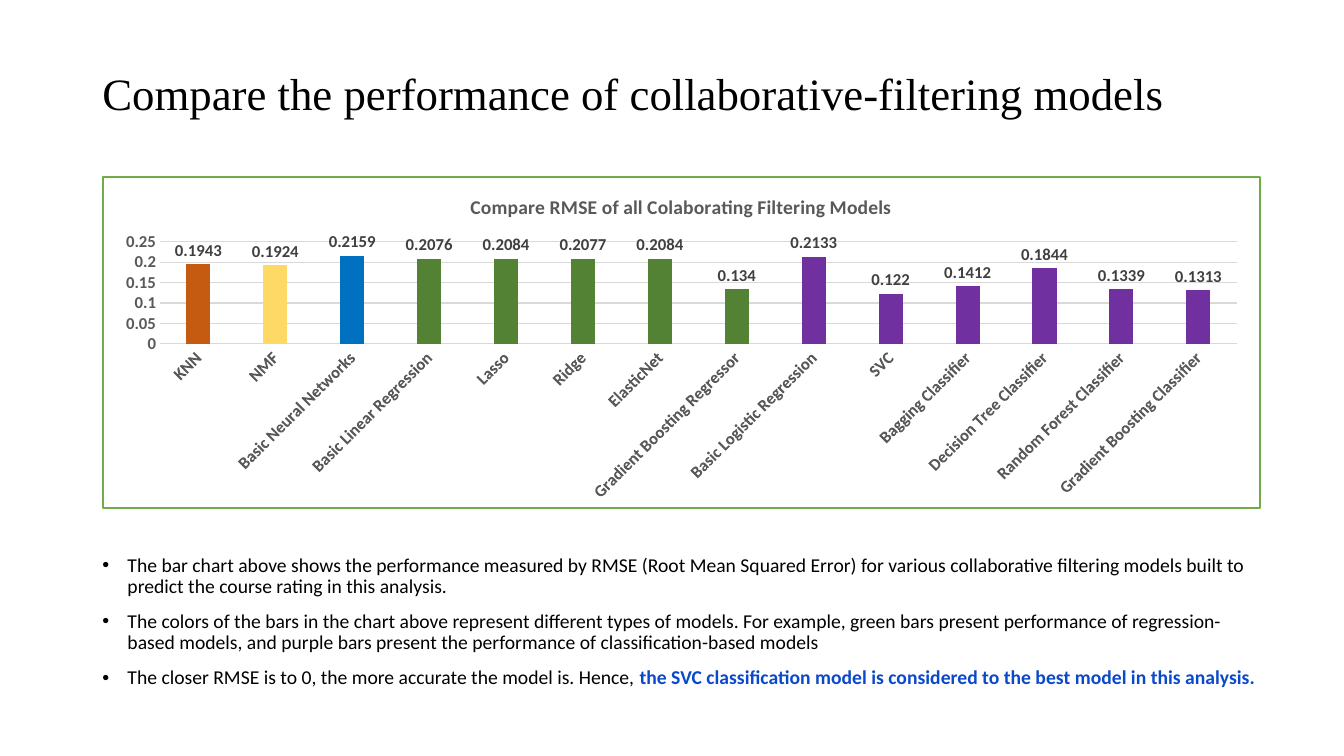
"""Build a slide comparing the RMSE of collaborative-filtering models."""
from dataclasses import dataclass

from lxml.etree import SubElement
from pptx import Presentation
from pptx.chart.data import CategoryChartData
from pptx.dml.color import RGBColor
from pptx.enum.chart import XL_CHART_TYPE as ChartType
from pptx.enum.chart import XL_LABEL_POSITION as LabelPosition
from pptx.enum.chart import XL_TICK_MARK as TickMark
from pptx.oxml import parse_xml
from pptx.oxml.ns import nsdecls, qn
from pptx.util import Emu, Pt

EMU_PER_PX = 9525


@dataclass(frozen=True)
class Theme:
    """Colours, fonts and type sizes of the slide."""
    text: str = "000000"
    emphasis: str = "0B49CB"
    axis: str = "595959"
    label: str = "404040"
    grid: str = "D9D9D9"
    frame: str = "70AD47"
    neighbours: str = "C55A11"
    factorization: str = "FFD966"
    network: str = "0070C0"
    regression: str = "548235"
    classification: str = "7030A0"
    heading_font: str = "Times New Roman"
    body_font: str = "Calibri"
    heading_size: int = 32
    body_size: int = 14
    chart_size: int = 12


THEME = Theme()

MODELS = [
    ("KNN", 0.1943, THEME.neighbours),
    ("NMF", 0.1924, THEME.factorization),
    ("Basic Neural Networks", 0.2159, THEME.network),
    ("Basic Linear Regression", 0.2076, THEME.regression),
    ("Lasso", 0.2084, THEME.regression),
    ("Ridge", 0.2077, THEME.regression),
    ("ElasticNet", 0.2084, THEME.regression),
    ("Gradient Boosting Regressor", 0.134, THEME.regression),
    ("Basic Logistic Regression", 0.2133, THEME.classification),
    ("SVC", 0.122, THEME.classification),
    ("Bagging Classifier", 0.1412, THEME.classification),
    ("Decision Tree Classifier", 0.1844, THEME.classification),
    ("Random Forest Classifier", 0.1339, THEME.classification),
    ("Gradient Boosting Classifier", 0.1313, THEME.classification),
]

FINDINGS = [
    ("The bar chart above shows the performance measured by RMSE (Root Mean Squared Error) "
     "for various collaborative filtering models built to predict the course rating in this "
     "analysis.", ""),
    ("The colors of the bars in the chart above represent different types of models. "
     "For example, green bars present performance of regression-based models, and purple "
     "bars present the performance of classification-based models", ""),
    ("The closer RMSE is to 0, the more accurate the model is. Hence, ",
     "the SVC classification model is considered to the best model in this analysis."),
]


def px(length):
    """Turn whole pixels into EMU."""
    return Emu(length * EMU_PER_PX)


def style_font(font, size=THEME.chart_size, color=THEME.axis, bold=True, name=THEME.body_font):
    """Set the size, colour, weight and face of a font."""
    font.size, font.bold, font.name = Pt(size), bold, name
    font.color.rgb = RGBColor.from_string(color)


def style_line(line, color, width):
    """Give a line a solid colour and a width in points."""
    line.color.rgb = RGBColor.from_string(color)
    line.width = Pt(width)


def add_text(paragraph, text, **style):
    """Append a formatted run to a paragraph."""
    run = paragraph.add_run()
    run.text = text
    style_font(run.font, **style)


def add_text_frame(slide, left, top, width, height):
    """Add a wrapping text box and return its text frame."""
    text_frame = slide.shapes.add_textbox(px(left), px(top), px(width), px(height)).text_frame
    text_frame.word_wrap = True
    return text_frame


def set_bullet(paragraph, indent):
    """Give a paragraph a round bullet with a hanging indent."""
    properties = paragraph._p.get_or_add_pPr()
    properties.set("marL", str(px(indent)))
    properties.set("indent", str(-px(indent)))
    SubElement(properties, qn("a:buFont")).set("typeface", "Arial")
    SubElement(properties, qn("a:buChar")).set("char", "•")


def add_heading(slide, text):
    """Add the slide heading."""
    paragraph = add_text_frame(slide, 88, 64, 1104, 139).paragraphs[0]
    paragraph.line_spacing = 0.9
    add_text(paragraph, text, size=THEME.heading_size, color=THEME.text, bold=False,
             name=THEME.heading_font)


def add_findings(slide):
    """Add the bulleted findings below the chart."""
    text_frame = add_text_frame(slide, 88, 524, 1122, 131)
    for index, (plain, emphasized) in enumerate(FINDINGS):
        paragraph = text_frame.add_paragraph() if index else text_frame.paragraphs[0]
        set_bullet(paragraph, 24)
        paragraph.line_spacing = 0.9
        paragraph.space_before = Pt(10 if index else 0)
        add_text(paragraph, plain, size=THEME.body_size, color=THEME.text, bold=False)
        if emphasized:
            add_text(paragraph, emphasized, size=THEME.body_size, color=THEME.emphasis)


def frame_chart(chart, color, width):
    """Draw a white chart area with a coloured border."""
    frame = parse_xml(
        f'<c:spPr {nsdecls("c", "a")}>'
        '<a:solidFill><a:srgbClr val="FFFFFF"/></a:solidFill>'
        f'<a:ln w="{Pt(width)}"><a:solidFill><a:srgbClr val="{color}"/></a:solidFill></a:ln>'
        '</c:spPr>')
    chart._chartSpace.find(qn("c:chart")).addnext(frame)


def style_axes(chart):
    """Format both axes and the gridlines."""
    category_axis, value_axis = chart.category_axis, chart.value_axis
    for axis in (category_axis, value_axis):
        axis.major_tick_mark = axis.minor_tick_mark = TickMark.NONE
        style_font(axis.tick_labels.font)
    style_line(category_axis.format.line, THEME.grid, 0.75)
    category_axis._element.txPr.find(qn("a:bodyPr")).set("rot", "-2700000")
    value_axis.minimum_scale, value_axis.maximum_scale = 0, 0.25
    value_axis.major_unit = 0.05
    value_axis.format.line.fill.background()
    style_line(value_axis.major_gridlines.format.line, THEME.grid, 0.75)


def style_bars(plot):
    """Colour the bars by model type and label them with values."""
    plot.gap_width = 219
    plot.vary_by_categories = False
    series = plot.series[0]
    series.invert_if_negative = False
    for index, (_, _, color) in enumerate(MODELS):
        fill = series.points[index].format.fill
        fill.solid()
        fill.fore_color.rgb = RGBColor.from_string(color)
    labels = series.data_labels
    labels.show_value = True
    labels.position = LabelPosition.OUTSIDE_END
    style_font(labels.font, color=THEME.label)


def add_rmse_chart(slide):
    """Add the column chart of RMSE by model."""
    names, errors, _ = zip(*MODELS)
    chart_data = CategoryChartData()
    chart_data.categories = names
    chart_data.add_series("Series 1", errors)
    chart = slide.shapes.add_chart(ChartType.COLUMN_CLUSTERED, px(97), px(168), px(1104),
                                   px(317), chart_data).chart
    style_font(chart.font, color=THEME.text)
    chart.has_legend = False
    chart.has_title = True
    add_text(chart.chart_title.text_frame.paragraphs[0],
             "Compare RMSE of all Colaborating Filtering Models", size=THEME.body_size)
    chart.chart_title.include_in_layout = False
    frame_chart(chart, THEME.frame, 1.5)
    style_axes(chart)
    style_bars(chart.plots[0])


def main():
    """Create the presentation and save it."""
    presentation = Presentation()
    presentation.slide_width, presentation.slide_height = px(1280), px(720)
    slide = presentation.slides.add_slide(presentation.slide_layouts[6])
    add_heading(slide, "Compare the performance of collaborative-filtering models")
    add_findings(slide)
    add_rmse_chart(slide)
    presentation.save("out.pptx")


if __name__ == "__main__":
    main()
